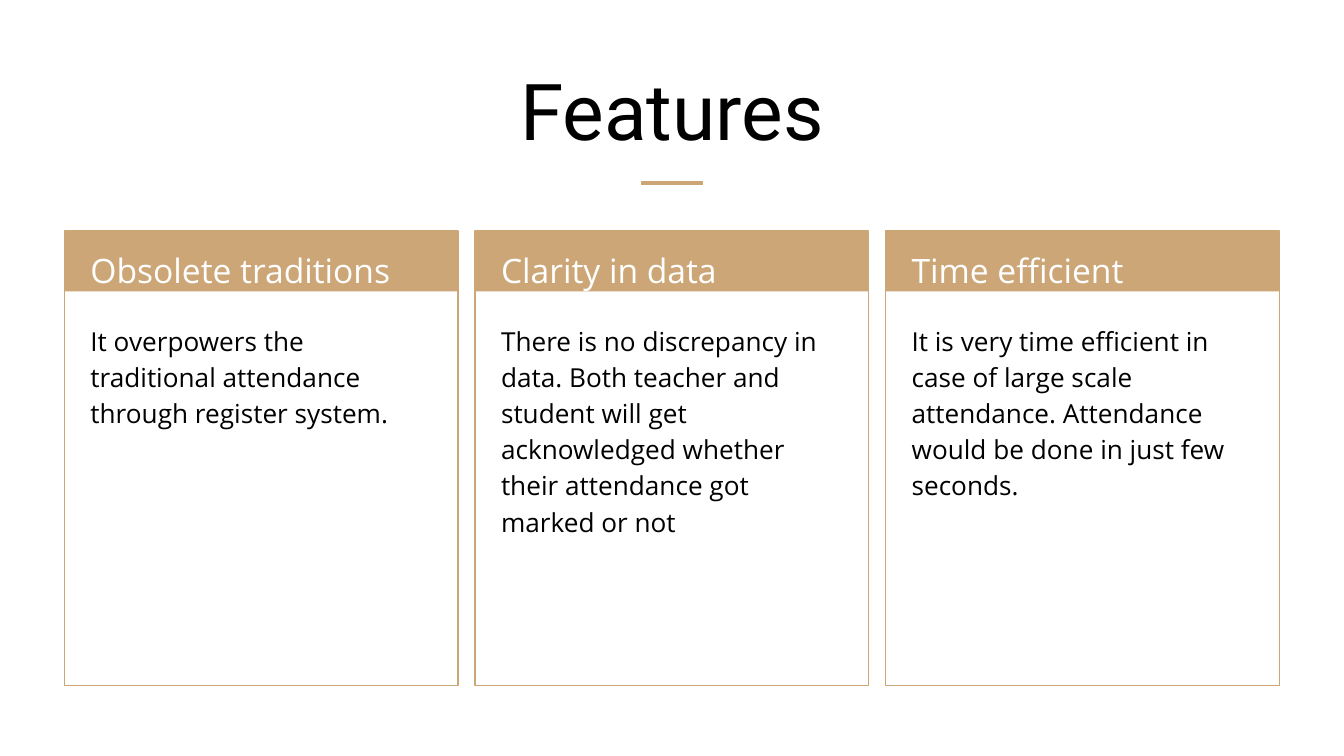
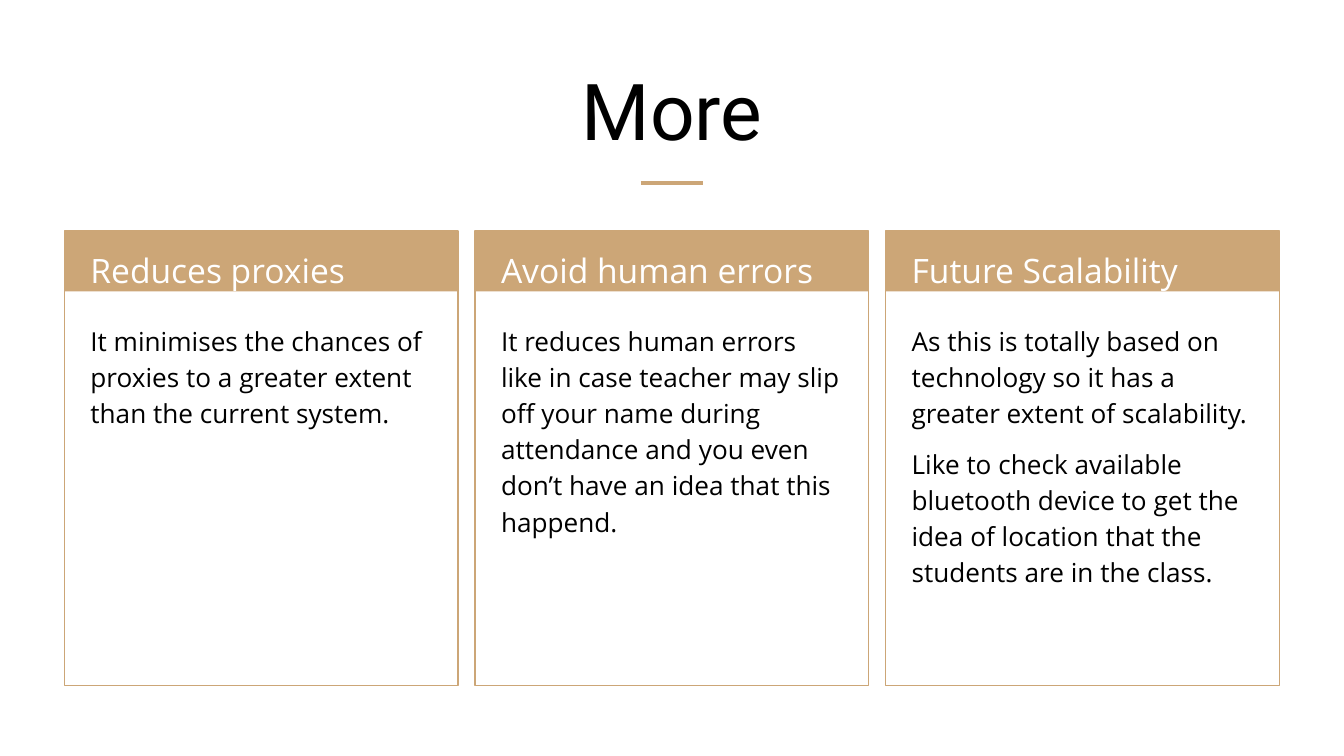
from dataclasses import dataclass

from lxml import etree
from pptx import Presentation
from pptx.dml.color import RGBColor
from pptx.enum import shapes, text
from pptx.oxml.ns import qn
from pptx.util import Cm, Pt

SLIDE_WIDTH, SLIDE_HEIGHT = 25.4, 14.29
TITLE_ONLY_LAYOUT = 5

TAN, BLACK, WHITE = "CCA677", "000000", "FFFFFF"
TITLE_FONT, BODY_FONT = "Roboto", "Open Sans"

CARD_LEFT, CARD_TOP = 1.22, 4.37
CARD_WIDTH, CARD_HEIGHT = 7.44, 8.59
CARD_PITCH = 7.76
HEADER_HEIGHT = 1.14
TEXT_INDENT, TEXT_WIDTH = 0.24, 6.93
BODY_TOP, BODY_HEIGHT = 5.82, 7.11
RULE_WIDTH, RULE_TOP = 1.17, 3.46
PARAGRAPH_GAP = 8


@dataclass(frozen=True)
class Card:
    heading: str
    paragraphs: tuple[str, ...]


@dataclass(frozen=True)
class CardSlide:
    title: str
    cards: tuple[Card, ...]


SLIDES = (
    CardSlide("Features", (
        Card("Obsolete traditions", (
            "It overpowers the traditional attendance through register system.",
        )),
        Card("Clarity in data", (
            "There is no discrepancy in data. Both teacher and student will get "
            "acknowledged whether their attendance got marked or not",
        )),
        Card("Time efficient", (
            "It is very time efficient in case of large scale attendance. "
            "Attendance would be done in just few seconds.",
        )),
    )),
    CardSlide("More", (
        Card("Reduces proxies", (
            "It minimises the chances of proxies to a greater extent than the "
            "current system.",
        )),
        Card("Avoid human errors", (
            "It reduces human errors like in case teacher may slip off your name "
            "during attendance and you even don’t have an idea that this happend.",
        )),
        Card("Future Scalability", (
            "As this is totally based on technology so it has a greater extent of "
            "scalability.",
            "Like to check available bluetooth device to get the idea of location "
            "that the students are in the class.",
        )),
    )),
)


def color(value: str) -> RGBColor:
    return RGBColor.from_string(value)


def write_text(shape, paragraphs, *, size, font=BODY_FONT, fill=BLACK,
               align=text.PP_ALIGN.LEFT, anchor=text.MSO_ANCHOR.TOP,
               line_spacing=1.15, gap=0) -> None:
    """Fill the shape with paragraphs; gap is the space between them in points."""
    frame = shape.text_frame
    frame.word_wrap = True
    frame.auto_size = text.MSO_AUTO_SIZE.NONE
    frame.vertical_anchor = anchor
    frame.margin_left = frame.margin_right = Cm(0.25)
    frame.margin_top = frame.margin_bottom = Cm(0.25)
    for index, content in enumerate(paragraphs):
        paragraph = frame.add_paragraph() if index else frame.paragraphs[0]
        paragraph.alignment = align
        paragraph.line_spacing = line_spacing
        paragraph.space_before = Pt(gap if index else 0)
        paragraph.space_after = Pt(0)
        run = paragraph.add_run()
        run.text = content
        run.font.name = font
        run.font.size = Pt(size)
        run.font.color.rgb = color(fill)


def add_text(slide, paragraphs, left: float, top: float, width: float,
             height: float, **style) -> None:
    box = slide.shapes.add_textbox(Cm(left), Cm(top), Cm(width), Cm(height))
    write_text(box, paragraphs, **style)


def add_rectangle(group, left: float, height: float, *, fill=None, line=None) -> None:
    """Add a card-wide rectangle that starts at the top of the cards."""
    rectangle = group.shapes.add_shape(
        shapes.MSO_SHAPE.RECTANGLE,
        Cm(left), Cm(CARD_TOP), Cm(CARD_WIDTH), Cm(height))
    rectangle.shadow.inherit = False
    if fill:
        rectangle.fill.solid()
        rectangle.fill.fore_color.rgb = color(fill)
    else:
        rectangle.fill.background()
    if line:
        rectangle.line.color.rgb = color(line)
        rectangle.line.width = Pt(0.75)
    else:
        rectangle.line.fill.background()


def add_title(slide, title: str) -> None:
    placeholder = slide.shapes.title
    placeholder.left, placeholder.top = Cm(0.86), Cm(0.89)
    placeholder.width, placeholder.height = Cm(23.68), Cm(2.31)
    write_text(placeholder, [title], size=42, font=TITLE_FONT, line_spacing=1.0,
               align=text.PP_ALIGN.CENTER, anchor=text.MSO_ANCHOR.BOTTOM)

    left = (SLIDE_WIDTH - RULE_WIDTH) / 2
    rule = slide.shapes.add_connector(
        shapes.MSO_CONNECTOR.STRAIGHT,
        Cm(left), Cm(RULE_TOP), Cm(left + RULE_WIDTH), Cm(RULE_TOP))
    rule.line.color.rgb = color(TAN)
    rule.line.width = Pt(2.25)
    etree.SubElement(rule._element.spPr, qn("a:effectLst"))


def add_card(slide, card: Card, left: float) -> None:
    group = slide.shapes.add_group_shape()
    add_rectangle(group, left, CARD_HEIGHT, line=TAN)
    add_rectangle(group, left, HEADER_HEIGHT, fill=TAN)

    text_left = left + TEXT_INDENT
    add_text(slide, [card.heading], text_left, CARD_TOP, TEXT_WIDTH,
             HEADER_HEIGHT, size=18, fill=WHITE)
    add_text(slide, card.paragraphs, text_left, BODY_TOP, TEXT_WIDTH,
             BODY_HEIGHT, size=14, gap=PARAGRAPH_GAP)


def add_card_slide(presentation, content: CardSlide) -> None:
    layout = presentation.slide_layouts[TITLE_ONLY_LAYOUT]
    slide = presentation.slides.add_slide(layout)
    add_title(slide, content.title)
    for index, card in enumerate(content.cards):
        add_card(slide, card, CARD_LEFT + index * CARD_PITCH)


def main() -> None:
    presentation = Presentation()
    presentation.slide_width = Cm(SLIDE_WIDTH)
    presentation.slide_height = Cm(SLIDE_HEIGHT)
    for content in SLIDES:
        add_card_slide(presentation, content)
    presentation.save("out.pptx")


if __name__ == "__main__":
    main()
